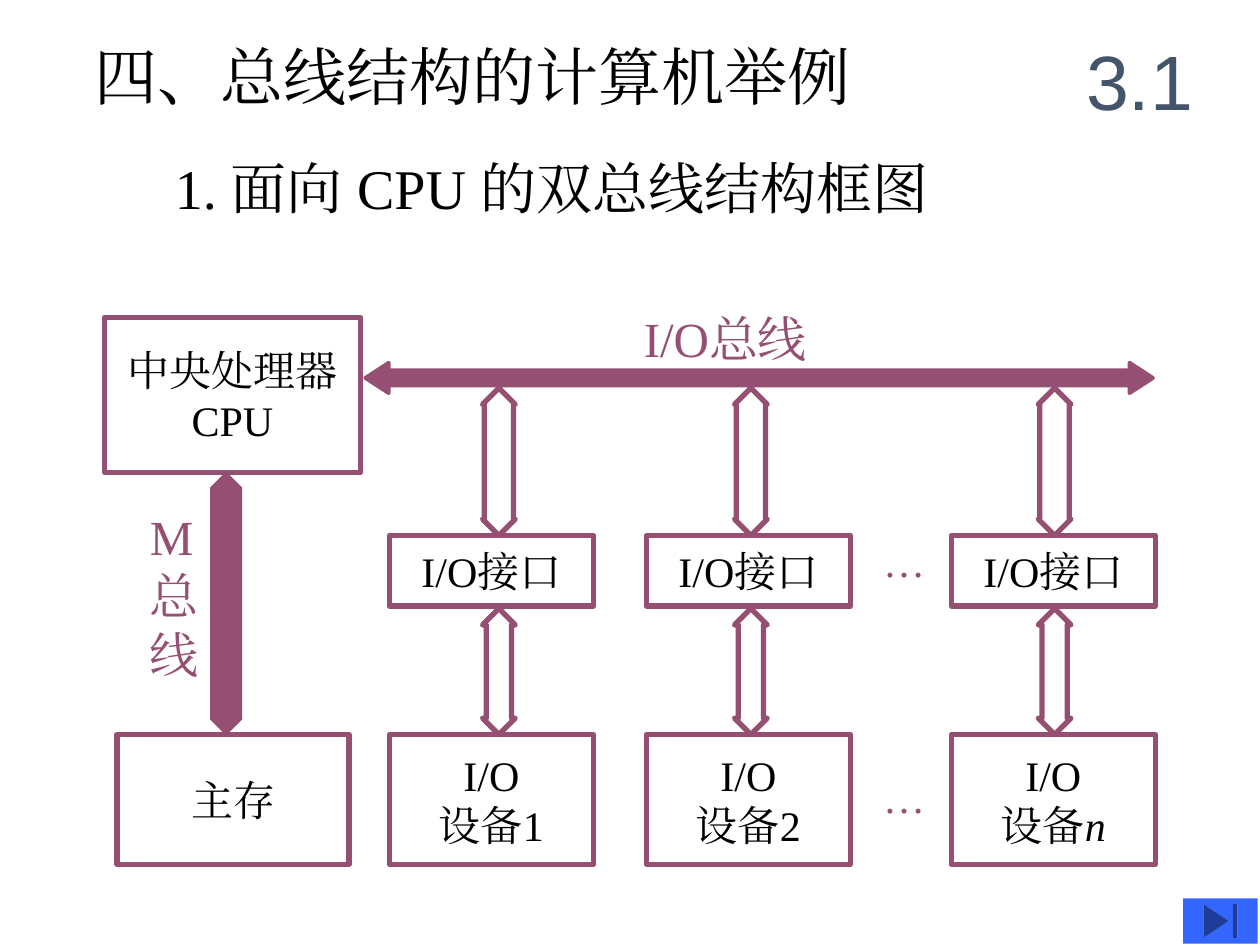
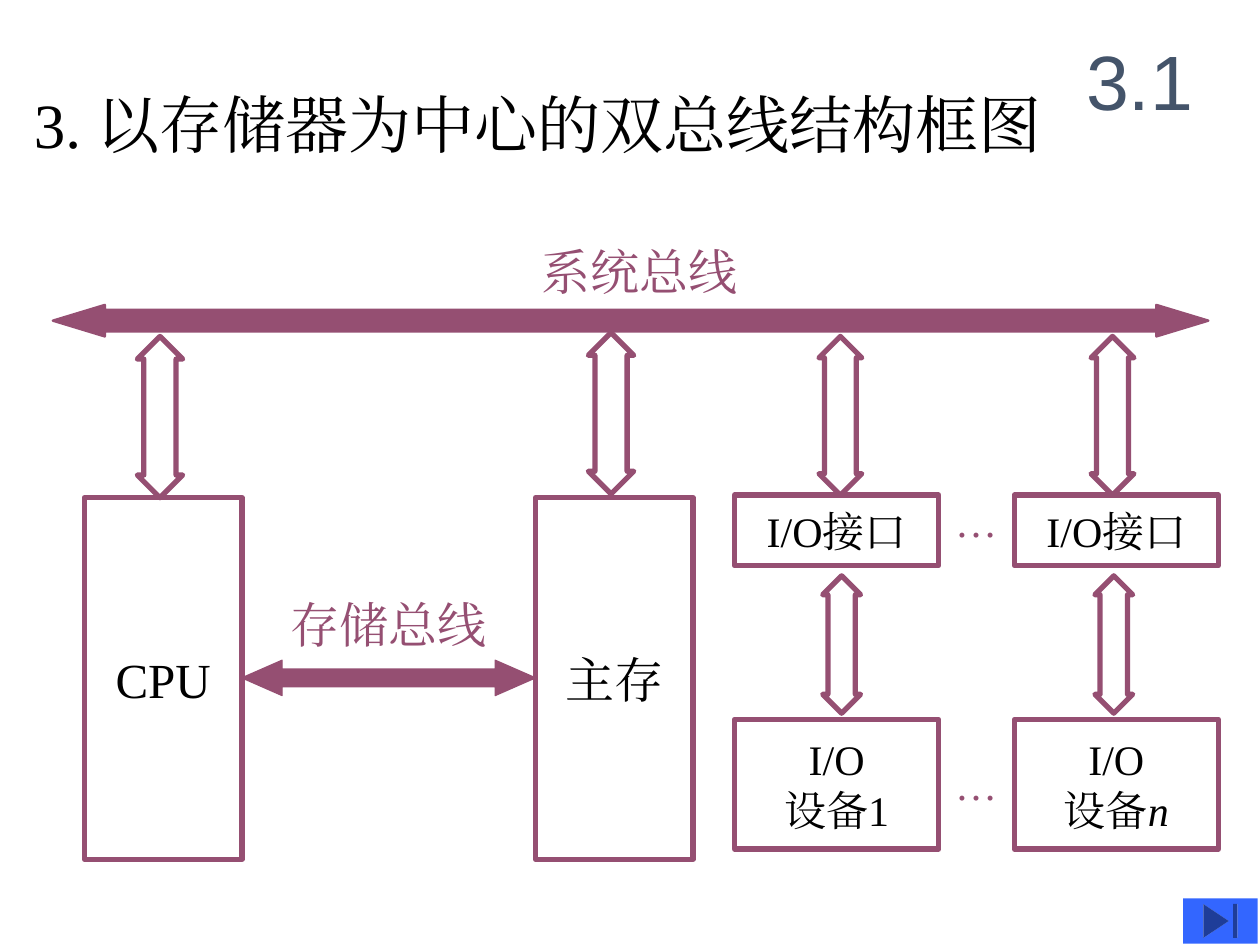
from pptx import Presentation
from pptx.dml.color import RGBColor as RGB
from pptx.enum.shapes import MSO_SHAPE as SHAPE
from pptx.enum.text import MSO_ANCHOR as ANCHOR, PP_ALIGN as ALIGN
from pptx.oxml.ns import qn
from pptx.util import Inches, Pt
from lxml import etree

COLORS = {"text": "000000", "bus": "954F72", "section": "44546A", "button": "3366FF"}
SERIF = "Times New Roman"
BOX_LINE = 3
HEAD_SHARE = 0.2  # head length of a hollow arrow, as a share of its height
IO_W, INTERFACE_H, DEVICE_H = 1.62, 0.56, 1.03

TITLE = {"size": 36}
SUBTITLE = {"size": 32}
LABEL = {"size": 28, "color": "bus"}
DOTS = {"size": 24, "color": "bus"}
SECTION = {"size": 44, "color": "section", "name": "Arial"}
ITALIC_N = ("n", {"italic": True})


def rgb(key):
    return RGB.from_string(COLORS[key])


def write(sp, paragraphs, fmt, align=ALIGN.LEFT, anchor=ANCHOR.TOP, inset=(0.1, 0.05)):
    """Fill a shape; a paragraph is a string or a list of strings and (text, format)."""
    tf = sp.text_frame
    frame = {
        "word_wrap": True, "vertical_anchor": anchor,
        "margin_left": Inches(inset[0]), "margin_right": Inches(inset[0]),
        "margin_top": Inches(inset[1]), "margin_bottom": Inches(inset[1]),
    }
    for key, value in frame.items():
        setattr(tf, key, value)
    for i, runs in enumerate(paragraphs):
        p = tf.paragraphs[0] if i == 0 else tf.add_paragraph()
        p.alignment = align
        for run in [runs] if isinstance(runs, str) else runs:
            text, extra = (run, {}) if isinstance(run, str) else run
            r = p.add_run()
            r.text = text
            style = {"name": SERIF, "color": "text", **fmt, **extra}
            r.font.color.rgb = rgb(style.pop("color"))
            style["size"] = Pt(style["size"])
            for key, value in style.items():
                setattr(r.font, key, value)
            ea = etree.SubElement(r.font._element, qn("a:ea"))
            ea.set("typeface", style["name"])


def add_text(s, at, paragraphs, fmt, **layout):
    sp = s.shapes.add_textbox(*map(Inches, at))
    write(sp, paragraphs, fmt, **layout)


def add_label(s, at, paragraphs, fmt=LABEL):
    add_text(s, at, paragraphs, fmt, inset=(0, 0))


def add_shape(s, kind, at, fill=None, line=None):
    sp = s.shapes.add_shape(kind, *map(Inches, at))
    sp.shadow.inherit = False
    if fill:
        sp.fill.solid()
        sp.fill.fore_color.rgb = rgb(fill)
    else:
        sp.fill.background()
    if line:
        sp.line.color.rgb = rgb("bus")
        sp.line.width = Pt(line)
    else:
        sp.line.fill.background()
    return sp


def add_box(s, at, paragraphs, size=24):
    sp = add_shape(s, SHAPE.RECTANGLE, at, line=BOX_LINE)
    write(sp, paragraphs, {"size": size}, ALIGN.CENTER, ANCHOR.MIDDLE)


def add_bus(s, kind, at, head, line, body=0.5):
    sp = add_shape(s, kind, at, fill="bus", line=line)
    sp.adjustments[0] = body
    sp.adjustments[1] = head


def add_link(s, x, top, bottom, w):
    h = bottom - top
    sp = add_shape(s, SHAPE.UP_DOWN_ARROW, (x, top, w, h), line=BOX_LINE)
    sp.adjustments[0] = 0.5
    sp.adjustments[1] = HEAD_SHARE * h / w


def add_io_column(s, x, rows, links, device):
    """Interface above a device; links are (left, top, bottom, width)."""
    interface_y, device_y = rows
    add_box(s, (x, interface_y, IO_W, INTERFACE_H), ["I/O接口"])
    add_box(s, (x, device_y, IO_W, DEVICE_H), ["I/O", device])
    for link in links:
        add_link(s, *link)


def add_slide(prs):
    """Blank slide with the section number and the button that goes to the end."""
    s = prs.slides.add_slide(prs.slide_layouts[6])
    add_text(s, (8.42, 0.17, 1.25, 0.92), ["3.1"], SECTION,
             align=ALIGN.CENTER, anchor=ANCHOR.MIDDLE)
    add_shape(s, SHAPE.ACTION_BUTTON_END, (9.39, 7.13, 0.59, 0.36), fill="button")
    return s


def build_cpu_centred(prs):
    s = add_slide(prs)
    add_text(s, (0.65, 0.25, 6.95, 0.7), ["四、总线结构的计算机举例"], TITLE)
    add_text(s, (1.29, 1.17, 6.96, 0.64), ["1. 面向 CPU 的双总线结构框图"], SUBTITLE)

    # CPU, main memory and the two buses
    add_box(s, (0.83, 2.52, 2.03, 1.23), ["中央处理器", "CPU"])
    add_box(s, (0.93, 5.83, 1.84, 1.03), ["主存"])
    add_label(s, (5.11, 2.45, 1.98, 0.47), ["I/O总线"])
    add_bus(s, SHAPE.LEFT_RIGHT_ARROW, (2.9, 2.88, 6.25, 0.24), 0.77, 2.25)
    add_label(s, (1.19, 4.02, 0.47, 1.4), ["M", "总", "线"])
    add_bus(s, SHAPE.UP_DOWN_ARROW, (1.67, 3.75, 0.25, 2.08), 0.98, 0.75)

    # I/O interfaces and devices
    columns = [(3.09, 3.83, "设备1"), (5.13, 5.83, "设备2"),
               (7.55, 8.24, ["设备", ITALIC_N])]
    for x, link_x, device in columns:
        links = [(link_x, 3.08, 4.25, 0.26), (link_x, 4.83, 5.83, 0.26)]
        add_io_column(s, x, (4.25, 5.83), links, device)
    for y in (4.25, 6.12):
        add_label(s, (7.01, y, 0.41, 0.4), ["…"], DOTS)


def build_memory_centred(prs):
    s = add_slide(prs)
    add_text(s, (0.17, 0.63, 8.67, 0.7), ["3. 以存储器为中心的双总线结构框图"], TITLE)

    # System bus
    add_label(s, (4.3, 1.92, 2.53, 0.47), ["系统总线"])
    add_bus(s, SHAPE.LEFT_RIGHT_ARROW, (0.42, 2.42, 9.17, 0.25), 1.65, 1.39, body=0.68)

    # CPU and main memory, joined by the memory bus
    for x, name, link_top in [(0.67, "CPU", 2.67), (4.25, "主存", 2.64)]:
        add_box(s, (x, 3.95, 1.25, 2.87), [name], size=28)
        add_link(s, x + 0.42, link_top, link_top + 1.28, 0.36)
    add_bus(s, SHAPE.LEFT_RIGHT_ARROW, (1.92, 5.24, 2.33, 0.28), 1.14, 0.75)
    add_text(s, (2.21, 4.67, 1.75, 0.57), ["存储总线"], LABEL)

    # I/O interfaces and devices
    columns = [(5.83, 6.5, "设备1"), (8.05, 8.66, ["设备", ITALIC_N])]
    for x, link_x, device in columns:
        links = [(link_x, 2.67, 3.93, 0.34), (link_x + 0.03, 4.57, 5.66, 0.3)]
        add_io_column(s, x, (3.93, 5.71), links, device)
    for y in (3.93, 6.02):
        add_label(s, (7.58, y, 0.4, 0.4), ["…"], DOTS)


def main():
    prs = Presentation()
    prs.slide_width, prs.slide_height = Inches(10), Inches(7.5)
    build_cpu_centred(prs)
    build_memory_centred(prs)
    prs.save("out.pptx")


if __name__ == "__main__":
    main()
